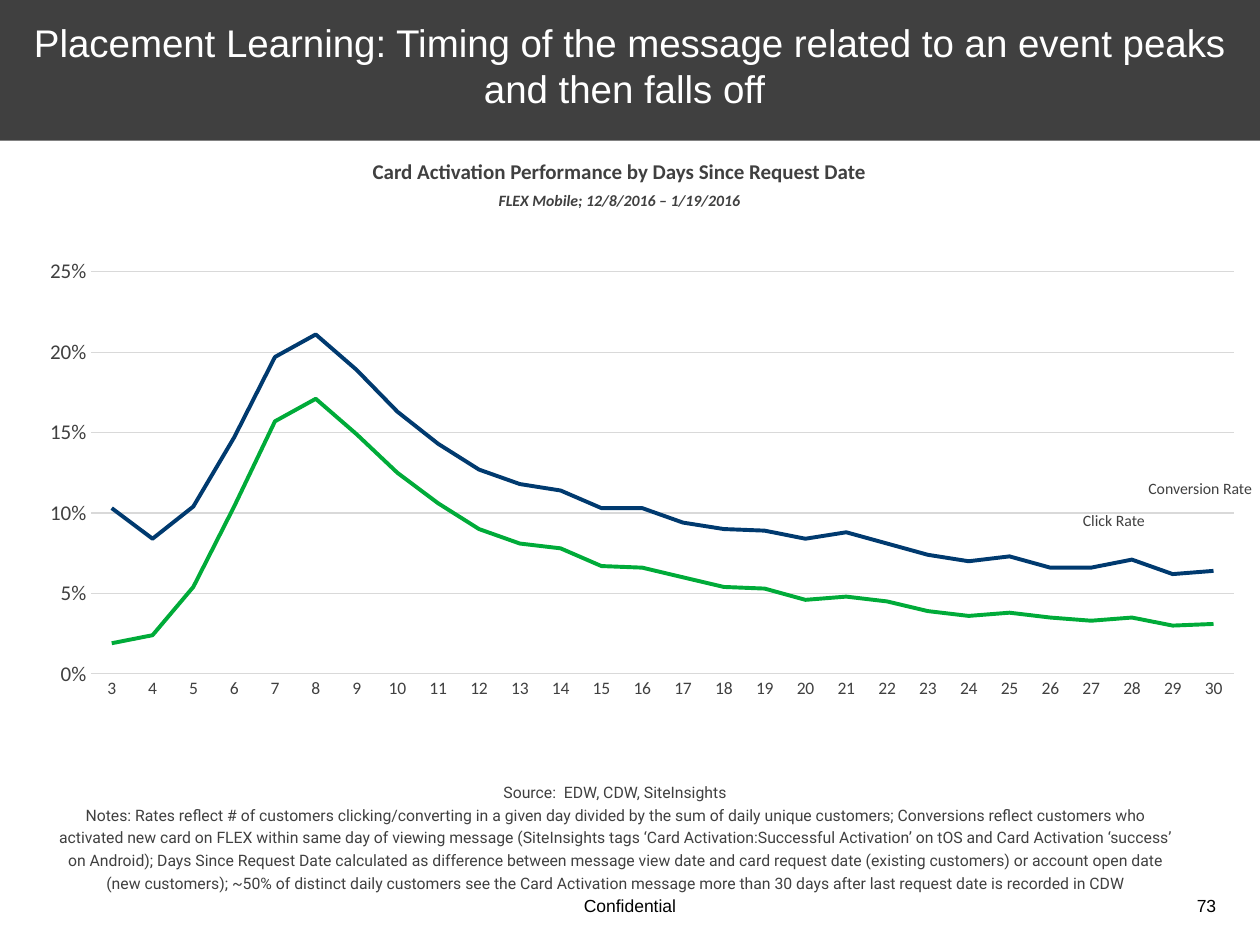
from lxml import etree
from pptx import Presentation, util as u
from pptx.chart.data import CategoryChartData
from pptx.dml.color import RGBColor
from pptx.enum import chart as ch, shapes, text
from pptx.oxml import ns

CHARCOAL = RGBColor(0x40, 0x40, 0x40)
GRID_GREY = RGBColor(0xD9, 0xD9, 0xD9)
NAVY = RGBColor(0x00, 0x3A, 0x6F)
GREEN = RGBColor(0x00, 0xAB, 0x39)
WHITE = RGBColor(0xFF, 0xFF, 0xFF)
BLACK = RGBColor(0x00, 0x00, 0x00)
CENTER, RIGHT = text.PP_ALIGN.CENTER, text.PP_ALIGN.RIGHT
MIDDLE = text.MSO_ANCHOR.MIDDLE

deck = Presentation()
deck.slide_width, deck.slide_height = u.Inches(10), u.Inches(7.5)
slide = deck.slides.add_slide(deck.slide_layouts[6])


def place(left, top, width, height):
    """Turn percentages of the slide's width and height into lengths."""
    across, down = deck.slide_width / 100, deck.slide_height / 100
    return [int(v) for v in (left * across, top * down, width * across, height * down)]


def write(box, lines, frame_format, align=CENTER):
    """Fill a shape with (wording, font values, paragraph values) lines."""
    frame = box.text_frame
    for key, value in frame_format.items():
        setattr(frame, key, value)
    for i, (wording, font, spacing) in enumerate(lines):
        para = frame.paragraphs[0] if i == 0 else frame.add_paragraph()
        para.alignment = align
        for key, value in spacing.items():
            setattr(para, key, value)
        run = para.add_run()
        run.text = wording
        for key, value in font.items():
            if key == "color":
                run.font.color.rgb = value
            else:
                setattr(run.font, key, value)


footer_font = {"name": "Arial", "size": u.Pt(10), "color": BLACK}
label_font = {"name": "Calibri", "size": u.Pt(9), "color": CHARCOAL}
heading_font = {**label_font, "size": u.Pt(12), "bold": True}
subheading_font = {**label_font, "bold": True, "italic": True}
notes_font = {**label_font, "name": "Roboto"}
title_font = {"name": "Arial", "size": u.Pt(22), "color": WHITE}

wrapped = {"word_wrap": True}
tight = {"word_wrap": False, "vertical_anchor": MIDDLE, "margin_left": 0,
         "margin_right": 0, "margin_top": 0, "margin_bottom": 0}
banner_format = {"word_wrap": True, "vertical_anchor": MIDDLE,
                 "margin_left": u.Inches(0.15), "margin_right": u.Inches(0.15),
                 "margin_top": u.Inches(0.1), "margin_bottom": u.Inches(0.1)}
loose = {"line_spacing": 1.2}

# Line chart
click_rate = [0.103, 0.084, 0.104, 0.147, 0.197, 0.211, 0.189, 0.163, 0.143, 0.127,
              0.118, 0.114, 0.103, 0.103, 0.094, 0.09, 0.089, 0.084, 0.088, 0.081,
              0.074, 0.07, 0.073, 0.066, 0.066, 0.071, 0.062, 0.064]
conversion_rate = [0.019, 0.024, 0.054, 0.104, 0.157, 0.171, 0.149, 0.125, 0.106, 0.09,
                   0.081, 0.078, 0.067, 0.066, 0.06, 0.054, 0.053, 0.046, 0.048, 0.045,
                   0.039, 0.036, 0.038, 0.035, 0.033, 0.035, 0.03, 0.031]
rates = CategoryChartData(number_format="0%")
rates.categories = [str(day) for day in range(3, 31)]
rates.add_series("Series 1", click_rate)
rates.add_series("Series 2", conversion_rate)
chart = slide.shapes.add_chart(ch.XL_CHART_TYPE.LINE, *place(-1.92, 27.2, 101.9, 51.9),
                               rates).chart
chart.has_legend = chart.has_title = False
chart.font.name, chart.font.size = "Arial", u.Pt(10)
chart.plots[0].vary_by_categories = False

for series, color in zip(chart.plots[0].series, (NAVY, GREEN)):
    series.smooth = False
    series.marker.style = ch.XL_MARKER_STYLE.NONE
    series.format.line.width = u.Pt(2.25)
    series.format.line.color.rgb = color

days, percent = chart.category_axis, chart.value_axis
for axis, size in ((days, 10), (percent, 12)):
    axis.major_tick_mark = axis.minor_tick_mark = ch.XL_TICK_MARK.NONE
    labels = axis.tick_labels.font
    labels.name, labels.size, labels.color.rgb = "Calibri", u.Pt(size), CHARCOAL
percent.minimum_scale, percent.maximum_scale, percent.major_unit = 0, 0.25, 0.05
percent.tick_labels.number_format = "0%"
percent.tick_labels.number_format_is_linked = False
percent.format.line.fill.background()
for line in (days.format.line, percent.major_gridlines.format.line):
    line.color.rgb, line.width = GRID_GREY, u.Pt(0.75)

plot_area = chart.plots[0]._element.getparent()
for old in plot_area.findall(ns.qn("c:layout")):
    plot_area.remove(old)
layout = etree.Element(ns.qn("c:layout"))
plot_area.insert(0, layout)
manual = etree.SubElement(layout, ns.qn("c:manualLayout"))
for tag, value in (("layoutTarget", "inner"), ("xMode", "edge"), ("yMode", "edge"),
                   ("x", 0.09), ("y", 0.03), ("w", 0.89), ("h", 0.82)):
    etree.SubElement(manual, ns.qn("c:" + tag)).set("val", str(value))

# Wording around the chart
notes = (
    "Notes: Rates reflect # of customers clicking/converting in a given day divided by "
    "the sum of daily unique customers; Conversions reflect customers who activated new "
    "card on FLEX within same day of viewing message (SiteInsights tags ‘Card "
    "Activation:Successful Activation’ on tOS and Card Activation ‘success’ on Android); "
    "Days Since Request Date calculated as difference between message view date and card "
    "request date (existing customers) or account open date (new customers); ~50% of "
    "distinct daily customers see the Card Activation message more than 30 days after "
    "last request date is recorded in CDW")
blocks = [
    ((93, 94.1, 4.5, 3.6), [("73", footer_font, {})], wrapped, RIGHT),
    ((20, 94.1, 60, 3.6), [("Confidential", footer_font, {})], wrapped, CENTER),
    ((29.36, 16.24, 39.6, 6),
     [("Card Activation Performance by Days Since Request Date", heading_font, loose),
      ("FLEX Mobile; 12/8/2016 – 1/19/2016", subheading_font,
       {**loose, "space_before": u.Pt(2)})], tight, CENTER),
    ((81.6, 53.4, 13.6, 3.33), [("Click Rate", label_font, {})], wrapped, CENTER),
    ((88.45, 50, 13.6, 3.33), [("Conversion Rate", label_font, {})], wrapped, CENTER),
    ((3.3, 82.17, 91, 13.07),
     [("Source:  EDW, CDW, SiteInsights", notes_font, {}), (notes, notes_font, loose)],
     wrapped, CENTER),
]
for area, lines, frame_format, align in blocks:
    write(slide.shapes.add_textbox(*place(*area)), lines, frame_format, align)

# Title banner
banner = slide.shapes.add_shape(shapes.MSO_SHAPE.RECTANGLE, *place(0, -1.07, 100, 15.97))
banner.shadow.inherit = False
banner.fill.solid()
banner.fill.fore_color.rgb = CHARCOAL
banner.line.fill.background()
write(banner, [("Placement Learning: Timing of the message related to an event peaks "
                "and then falls off ", title_font, {})], banner_format)

deck.save("out.pptx")
